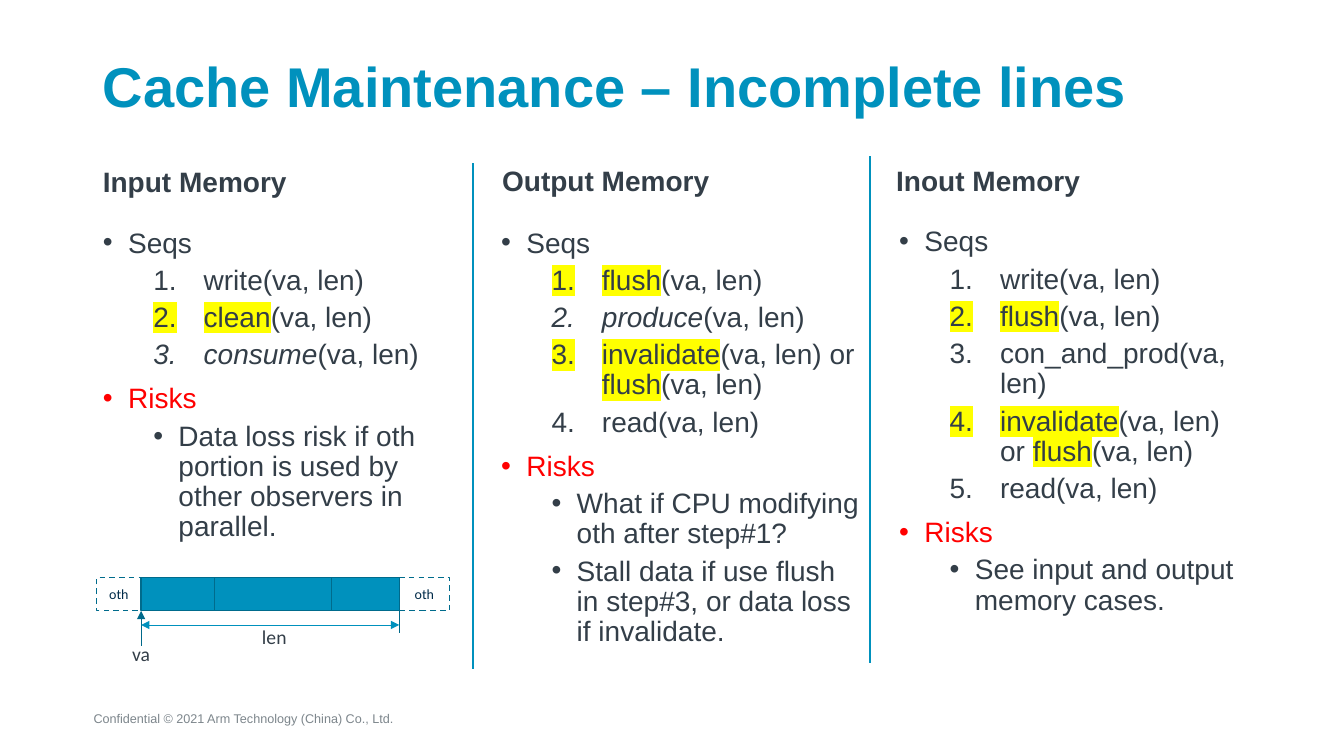
from dataclasses import dataclass

from lxml import etree
from pptx import Presentation
from pptx.dml.color import RGBColor
from pptx.enum.dml import MSO_LINE
from pptx.enum.shapes import MSO_CONNECTOR, MSO_SHAPE
from pptx.enum.text import MSO_ANCHOR, MSO_AUTO_SIZE, PP_ALIGN
from pptx.oxml.ns import qn
from pptx.util import Inches, Pt

LEFT, CENTER = PP_ALIGN.LEFT, PP_ALIGN.CENTER
TOP, MIDDLE, BOTTOM = MSO_ANCHOR.TOP, MSO_ANCHOR.MIDDLE, MSO_ANCHOR.BOTTOM
NO_RESIZE = MSO_AUTO_SIZE.NONE
RECTANGLE = MSO_SHAPE.RECTANGLE
STRAIGHT = MSO_CONNECTOR.STRAIGHT
DASH = MSO_LINE.DASH
COMPARISON_LAYOUT = 4


@dataclass(frozen=True)
class Theme:
    accent: str = "0091BD"
    outline: str = "006B8C"
    guide: str = "00698A"
    text: str = "333E48"
    label: str = "002B49"
    warning: str = "FF0000"
    highlight: str = "FFFF00"
    footer: str = "7D868C"
    white: str = "FFFFFF"
    font: str = "Arial"
    diagram_font: str = "Calibri"
    title_size: int = 40
    body_size: int = 20
    caption_size: int = 14
    label_size: int = 10
    footer_size: int = 9


THEME = Theme()
ARGS = ("(va, len)", {})
MARK = {"highlight": THEME.highlight}
ITALIC = {"italic": True}
WRITE = [("write(va, len)", {})]
READ = [("read(va, len)", {})]
FLUSH = [("flush", MARK), ARGS]
INVALIDATE = [("invalidate", MARK), ("(va, len) or ", {}), *FLUSH]

COLUMNS = [
    ("Input Memory", (0.92, 1.62, 3.58, 0.4), (0.92, 2.22, 3.58, 4.4),
     [WRITE, [("clean", MARK), ARGS], [("consume", ITALIC), ARGS]],
     ["Data loss risk if oth portion is used by other observers in parallel."]),
    ("Output Memory", (4.88, 1.57, 3.56, 0.44), (4.87, 2.22, 3.75, 4.4),
     [FLUSH, [("produce", ITALIC), ARGS], INVALIDATE, READ],
     ["What if CPU modifying oth after step#1?",
      "Stall data if use flush in step#3, or data loss if invalidate."]),
    ("Inout Memory", (8.79, 1.55, 3.59, 0.46), (8.82, 2.21, 3.58, 4.4),
     [WRITE, FLUSH, [("con_and_prod(va, len)", {})], INVALIDATE, READ],
     ["See input and output memory cases."]),
]


def rgb(color):
    return RGBColor.from_string(color)


def add_text(paragraph, text, size=THEME.body_size, color=THEME.text,
             font=THEME.font, bold=False, italic=False, highlight=None):
    run = paragraph.add_run()
    run.text = text
    run.font.size = Pt(size)
    run.font.name = font
    run.font.bold = bold
    run.font.italic = italic
    run.font.color.rgb = rgb(color)
    if highlight:
        marker = etree.Element(qn("a:highlight"))
        etree.SubElement(marker, qn("a:srgbClr"), val=highlight)
        run.font._element.find(qn("a:solidFill")).addnext(marker)


def place(shape, box):
    shape.left, shape.top, shape.width, shape.height = map(Inches, box)


def prepare_frame(shape, anchor):
    frame = shape.text_frame
    frame.word_wrap = True
    frame.auto_size = NO_RESIZE
    frame.vertical_anchor = anchor
    return frame


def write_line(shape, text, anchor=TOP, align=LEFT, spacing=None, **text_format):
    paragraph = prepare_frame(shape, anchor).paragraphs[0]
    paragraph.alignment = align
    paragraph.line_spacing = spacing
    add_text(paragraph, text, **text_format)


def add_item(frame, parts, level=0, margin=0.25, hanging=0.25, numbered=False):
    first = not frame.paragraphs[0].runs
    paragraph = frame.paragraphs[0] if first else frame.add_paragraph()
    paragraph.level = level
    properties = paragraph._p.get_or_add_pPr()
    properties.set("marL", str(Inches(margin)))
    properties.set("indent", str(-Inches(hanging)))
    etree.SubElement(properties, qn("a:buFont"), typeface=THEME.font)
    if numbered:
        etree.SubElement(properties, qn("a:buAutoNum"), type="arabicPeriod")
    else:
        etree.SubElement(properties, qn("a:buChar"), char="•")
    paragraph.alignment = LEFT
    paragraph.line_spacing = 0.9
    paragraph.space_before = Pt(0 if first else 5 if level else 10)
    for text, text_format in parts:
        add_text(paragraph, text, **text_format)


def fill_column(heading_shape, body_shape, column):
    heading, heading_box, body_box, steps, risks = column
    place(heading_shape, heading_box)
    place(body_shape, body_box)
    write_line(heading_shape, heading, anchor=BOTTOM, spacing=0.9, bold=True)
    heading_shape.text_frame.paragraphs[0].space_before = Pt(0)
    frame = prepare_frame(body_shape, TOP)
    add_item(frame, [("Seqs", {})])
    for step in steps:
        add_item(frame, step, level=1, margin=1, hanging=0.5, numbered=True)
    add_item(frame, [("Risks", {"color": THEME.warning})])
    for risk in risks:
        add_item(frame, [(risk, {})], level=1, margin=0.75)


def add_label(shapes, text, box, **text_format):
    label = shapes.add_textbox(*map(Inches, box))
    write_line(label, text, **text_format)


def add_line(shapes, start, end, color, width, head=False, tail=False):
    line = shapes.add_connector(STRAIGHT, *map(Inches, (*start, *end)))
    line.line.color.rgb = rgb(color)
    line.line.width = Pt(width)
    for present, tag in ((head, "a:headEnd"), (tail, "a:tailEnd")):
        if present:
            etree.SubElement(line.line._get_or_add_ln(), qn(tag), type="triangle")
    etree.SubElement(line._element.spPr, qn("a:effectLst"))


def add_block(shapes, left, right, fill, text=None):
    block = shapes.add_shape(RECTANGLE, *map(Inches, (left, 5.73, right - left, 0.33)))
    block.shadow.inherit = False
    block.fill.solid()
    block.fill.fore_color.rgb = rgb(fill)
    block.line.color.rgb = rgb(THEME.outline)
    block.line.width = Pt(1)
    if text:
        block.line.dash_style = DASH
        write_line(block, text, anchor=MIDDLE, align=CENTER, size=THEME.label_size,
                   color=THEME.label, font=THEME.diagram_font)


def add_memory_diagram(slide):
    shapes = slide.shapes.add_group_shape().shapes
    start, end = 1.4, 3.96
    caption = {"size": THEME.caption_size, "font": THEME.diagram_font}
    add_label(shapes, "va", (1.16, 6.32, 0.48, 0.34), align=CENTER, **caption)
    add_label(shapes, "len", (2.5, 6.15, 0.48, 0.34), **caption)
    add_block(shapes, 0.96, start, THEME.white, "oth")
    add_block(shapes, end, 4.46, THEME.white, "oth")
    edges = (start, 2.13, 3.29, end)
    for left, right in zip(edges, edges[1:]):
        add_block(shapes, left, right, THEME.accent)
    add_line(shapes, (start, 6.06), (start, 6.41), THEME.guide, 0.5, head=True)
    add_line(shapes, (end, 5.73), (end, 6.28), THEME.guide, 0.5)
    add_line(shapes, (start, 6.2), (end, 6.2), THEME.accent, 0.5, head=True, tail=True)


def main():
    presentation = Presentation()
    presentation.slide_width = Inches(13.33)
    presentation.slide_height = Inches(7.5)
    slide = presentation.slides.add_slide(presentation.slide_layouts[COMPARISON_LAYOUT])
    title, *column_shapes = slide.placeholders
    place(title, (0.92, 0.5, 11.46, 0.77))
    write_line(title, "Cache Maintenance – Incomplete lines", anchor=MIDDLE, spacing=0.9,
               size=THEME.title_size, color=THEME.accent, bold=True)
    for box in COLUMNS[-1][1:3]:
        column_shapes.append(slide.shapes.add_textbox(*map(Inches, box)))
    for heading, body, column in zip(column_shapes[::2], column_shapes[1::2], COLUMNS):
        fill_column(heading, body, column)
    for x, top, bottom in ((4.69, 1.62, 6.64), (8.63, 1.55, 6.58)):
        add_line(slide.shapes, (x, top), (x, bottom), THEME.accent, 1.5)
    add_memory_diagram(slide)
    add_label(slide.shapes, "Confidential © 2021 Arm Technology (China) Co., Ltd.",
              (0.83, 6.99, 5.04, 0.27), anchor=MIDDLE,
              size=THEME.footer_size, color=THEME.footer)
    presentation.save("out.pptx")


if __name__ == "__main__":
    main()
